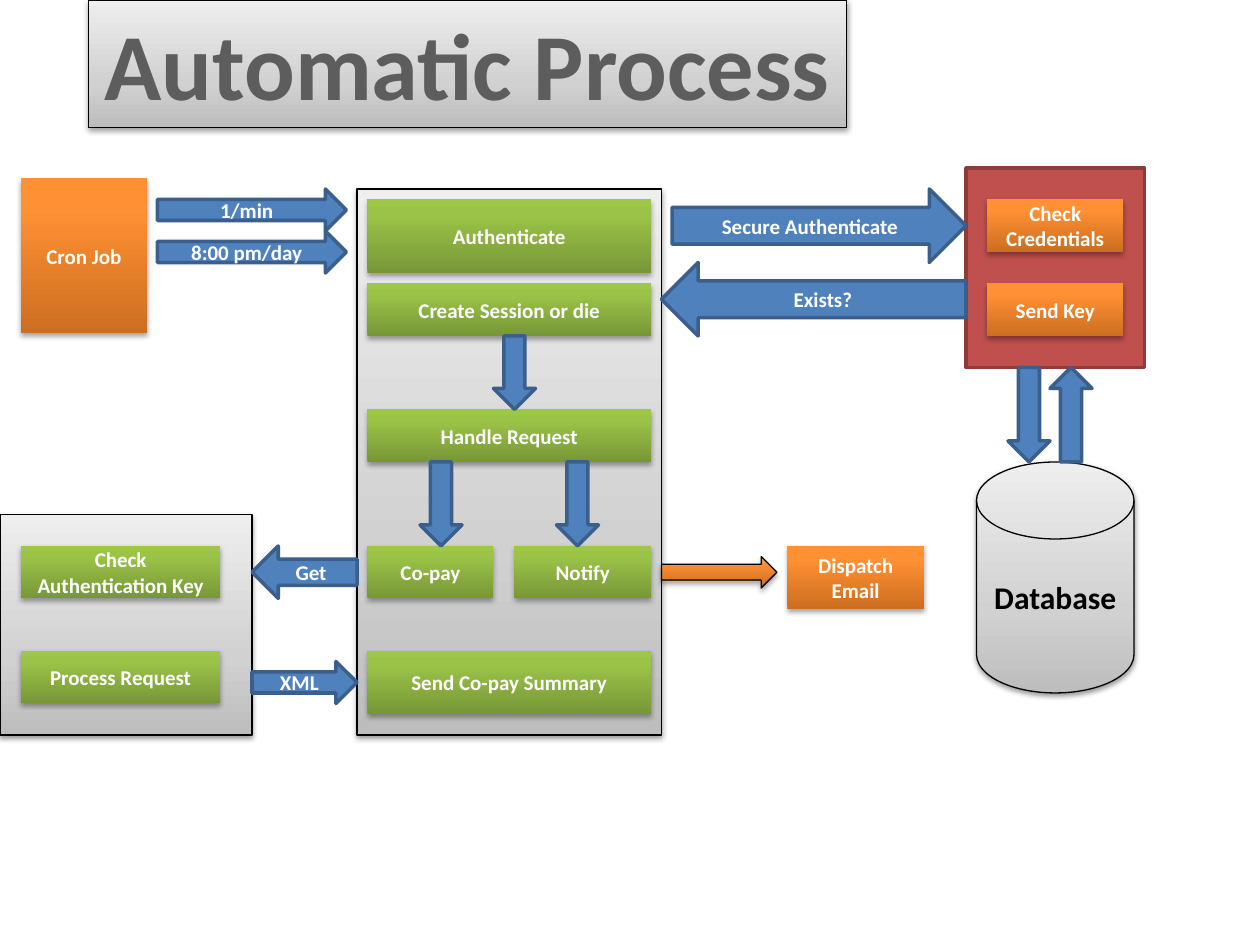
from copy import deepcopy

from lxml.etree import SubElement
from pptx import Presentation
from pptx.dml.color import RGBColor
from pptx.enum.shapes import MSO_SHAPE as Preset
from pptx.enum.text import MSO_ANCHOR as Anchor, MSO_AUTO_SIZE as AutoSize, PP_ALIGN as Align
from pptx.oxml.ns import qn
from pptx.util import Pt

GRAY = {"stops": [(0, "BDBDBD"), (0.35, "D1D1D1"), (1, "EEEEEE")],
        "line": ("000000", 0.75), "shadow": (38, 1.6)}
GREEN = {"stops": [(0, "779737"), (0.8, "9BC348"), (1, "9DC746")], "shadow": (35, 1.8)}
ORANGE = {"stops": [(0, "CC6E20"), (0.8, "FF9034"), (1, "FF9136")], "shadow": (35, 1.8)}
ORANGE_ARROW = {**ORANGE, "line": ("000000", 0.75)}
BLUE = {"solid": "4F81BD", "line": ("3A5F8C", 2)}
RED = {"solid": "C0504D", "line": ("8E3B39", 2)}


def rgb(value):
    """Turn a hex string into a colour."""
    return RGBColor.from_string(value)


def apply(target, values):
    """Set each attribute named in a dict."""
    for name, value in values.items():
        setattr(target, name, value)


class Diagram:
    """Holds the text style and the current slide."""

    font = {"name": "Calibri", "size": Pt(12), "bold": True}
    frame = {"word_wrap": True, "vertical_anchor": Anchor.MIDDLE}

    def __init__(self, slide):
        """Start drawing on a slide."""
        self.slide = slide

    def paint(self, shape, look):
        """Give a shape its fill, outline and shadow."""
        if "stops" in look:
            self.shade(shape, look["stops"])
        else:
            shape.fill.solid()
            shape.fill.fore_color.rgb = rgb(look["solid"])
        if "line" in look:
            color, width = look["line"]
            shape.line.color.rgb = rgb(color)
            shape.line.width = Pt(width)
        else:
            shape.line.fill.background()
        shape.shadow.inherit = False
        if "shadow" in look:
            self.cast(shape, *look["shadow"])

    def shade(self, shape, stops):
        """Fill a shape with a gradient that runs from bottom to top."""
        shape.fill.gradient()
        shape.fill.gradient_angle = 90
        stop_list = next(shape._element.spPr.iter(qn("a:gsLst")))
        while len(stop_list) < len(stops):
            stop_list.append(deepcopy(stop_list[-1]))
        for stop, (position, color) in zip(shape.fill.gradient_stops, stops):
            stop.position = position
            stop.color.rgb = rgb(color)

    def cast(self, shape, opacity, distance):
        """Drop a soft black shadow below a shape."""
        effects = shape._element.spPr.find(qn("a:effectLst"))
        shadow = SubElement(effects, qn("a:outerShdw"), blurRad=str(Pt(3.1)),
                            dist=str(Pt(distance)), dir="5400000", rotWithShape="0")
        black = SubElement(shadow, qn("a:srgbClr"), val="000000")
        SubElement(black, qn("a:alpha"), val=str(opacity * 1000))

    def label(self, shape, text, color="FFFFFF", size=12, **frame):
        """Put a centred label in a shape."""
        apply(shape.text_frame, {**self.frame, **frame})
        paragraph = shape.text_frame.paragraphs[0]
        paragraph.alignment = Align.CENTER
        run = paragraph.add_run()
        run.text = text
        apply(run.font, {**self.font, "size": Pt(size)})
        run.font.color.rgb = rgb(color)

    def block(self, look, left, top, width, height, text="", preset=Preset.RECTANGLE, **style):
        """Add a preset shape with an optional label."""
        shape = self.slide.shapes.add_shape(preset, Pt(left), Pt(top), Pt(width), Pt(height))
        self.paint(shape, look)
        if text:
            self.label(shape, text, **style)

    def arrow(self, way, left, top, width, height, text="", look=BLUE):
        """Add a block arrow that points left, right, up or down."""
        presets = {"left": Preset.LEFT_ARROW, "right": Preset.RIGHT_ARROW,
                   "up": Preset.UP_ARROW, "down": Preset.DOWN_ARROW}
        self.block(look, left, top, width, height, text, presets[way])


deck = Presentation()
apply(deck, {"slide_width": Pt(720), "slide_height": Pt(540)})
diagram = Diagram(deck.slides.add_slide(deck.slide_layouts[6]))

diagram.block(GRAY, 50.4, 0, 433.4, 72.7, "Automatic Process", color="5D5D5D", size=54,
              word_wrap=False, vertical_anchor=Anchor.TOP,
              auto_size=AutoSize.SHAPE_TO_FIT_TEXT)

# Panels
diagram.block(GRAY, 204, 108, 174, 312)
diagram.block(RED, 552, 96, 102, 114)
diagram.block(GRAY, 0, 294, 144, 126)
diagram.block(GRAY, 558, 264, 90, 132, "Database", Preset.FLOWCHART_MAGNETIC_DISK,
              color="000000", size=18)

# Steps
for look, steps in (
    (GREEN, [
        ("Authenticate", 210, 114, 162, 42),
        ("Create Session or die", 210, 162, 162, 30),
        ("Handle Request", 210, 234, 162, 30),
        ("Co-pay", 210, 312, 72, 30),
        ("Notify", 294, 312, 78, 30),
        ("Send Co-pay Summary", 210, 372, 162, 36),
        ("Check Authentication Key", 12, 312, 114, 30),
        ("Process Request", 12, 372, 114, 30),
    ]),
    (ORANGE, [
        ("Cron Job", 12, 102, 72, 88.5),
        ("Check Credentials", 564, 114, 78, 30),
        ("Send Key", 564, 162, 78, 30),
        ("Dispatch Email", 450, 312, 78, 36),
    ]),
):
    for text, *box in steps:
        diagram.block(look, *box, text)

# Messages between steps
for way, *box, text in (
    ("right", 90, 108, 108, 24, "1/min"),
    ("right", 90, 132, 108, 24, "8:00 pm/day"),
    ("right", 384, 108, 168, 42, "Secure Authenticate"),
    ("left", 378, 150, 174, 42, "Exists?"),
    ("left", 144, 312, 60, 30, "Get"),
    ("right", 144, 378, 60, 24, "XML"),
):
    diagram.arrow(way, *box, text)
diagram.arrow("right", 378, 318, 66, 18, look=ORANGE_ARROW)

# Vertical flow
for way, left, top, height in (
    ("down", 282, 192, 42),
    ("down", 240, 264, 48),
    ("down", 318, 264, 48),
    ("down", 576, 210, 54),
    ("up", 600, 210, 54),
):
    diagram.arrow(way, left, top, 24, height)

deck.save("out.pptx")
